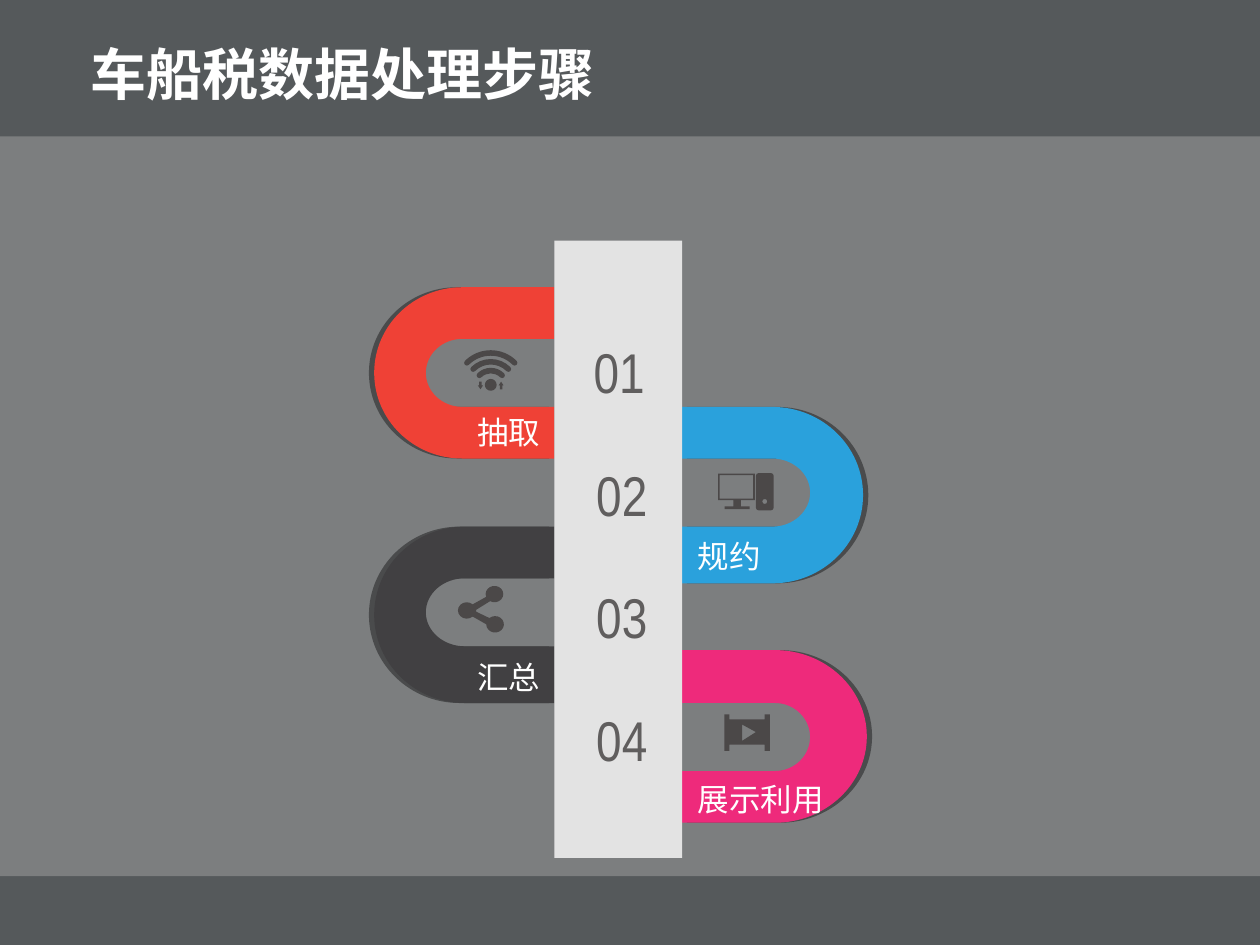
from math import ceil, cos, radians, sin, tan

from lxml import etree
from pptx import Presentation
from pptx.dml.color import RGBColor
from pptx.enum.shapes import MSO_SHAPE
from pptx.enum.text import MSO_ANCHOR, MSO_AUTO_SIZE, PP_ALIGN
from pptx.oxml import parse_xml
from pptx.oxml.ns import nsdecls, qn
from pptx.util import Inches, Pt

RECT = MSO_SHAPE.RECTANGLE
ROUNDED = MSO_SHAPE.ROUNDED_RECTANGLE
CENTER, LEFT = PP_ALIGN.CENTER, PP_ALIGN.LEFT
TOP, BOTTOM = MSO_ANCHOR.TOP, MSO_ANCHOR.BOTTOM
NO_FIT = MSO_AUTO_SIZE.NONE

COLUMNS, ROWS = 100, 75
CELL = Inches(10) / COLUMNS
BACKGROUND, PANEL, ICON = "55595B", "BFBFBF", "4B4848"
CJK_FONT = "Noto Sans CJK SC"
NUMBER_PITCH = 9.73
STEPS = [
    ("01", 45.6, "抽取", 36.9, 32.3, 7, "EF4136"),
    ("02", 45.8, "规约", 54.4, 42.1, 7, "2AA1DC"),
    ("03", 45.8, "汇总", 36.9, 51.7, 7, "414042"),
    ("04", 45.8, "展示利用", 54.4, 61.4, 12, "EE2A7B"),
]
HOOKS = [
    (44, 36.7, 29.7, 33.8, 22.8, 36.4, 26.9, 32.3),
    (54.1, 61.3, 68.5, 64.3, 32.3, 46.3, 36.4, 41.8),
    (44, 36.9, 29.7, 33.8, 41.8, 55.8, 45.9, 51.3),
    (54.1, 61.5, 68.8, 64.3, 51.6, 65.3, 55.8, 61.2),
]


def grid(cells):
    return round(cells * CELL)


def rgb(color):
    return RGBColor.from_string(color)


def paint(shape, color):
    shape.shadow.inherit = False
    shape.fill.solid()
    shape.fill.fore_color.rgb = rgb(color)
    shape.line.fill.background()
    return shape


def add_block(slide, kind, x, y, width, height, color):
    block = slide.shapes.add_shape(kind, *map(grid, (x, y, width, height)))
    return paint(block, color)


def arc(x, y, radius_x, radius_y, first, last):
    count = ceil(abs(last - first) / 90)
    step = radians(last - first) / count
    handle = 4 / 3 * tan(step / 4)

    def at(angle, lean=0):
        return (x + radius_x * (cos(angle) - lean * sin(angle)),
                y + radius_y * (sin(angle) + lean * cos(angle)))

    points = [at(radians(first))]
    for i in range(count):
        start = radians(first) + i * step
        end = start + step
        points += [at(start, handle), at(end, -handle), at(end)]
    return points


def polygon(*corners):
    return [[corner] for corner in corners]


def box(left, top, right, bottom):
    return polygon((left, top), (right, top), (right, bottom), (left, bottom))


def circle(x, y, radius):
    return [arc(x, y, radius, radius, 0, 360)]


def trace(pieces):
    points = list(pieces[0])
    for piece in pieces[1:]:
        points += [piece[0]] * 3 + piece[1:]
    return [(grid(x), grid(y)) for x, y in points]


def add_outline(slide, contours, color=ICON):
    builder = None
    for start, *rest in map(trace, contours):
        if builder is None:
            builder = slide.shapes.build_freeform(*start)
        else:
            builder.move_to(*start)
        builder.add_line_segments(rest, close=True)
    shape = paint(builder.convert_to_shape(), color)
    lines = list(shape._element.spPr.iter(qn("a:lnTo")))
    for first, second, third in zip(lines[::3], lines[1::3], lines[2::3]):
        first.tag = qn("a:cubicBezTo")
        for line in (second, third):
            first.append(line[0])
            line.getparent().remove(line)
    return shape


def add_hook(slide, bounds, color):
    edge, bend, apex, hole_apex, top, bottom, hole_top, hole_bottom = bounds
    outer = arc(bend, (top + bottom) / 2, apex - bend, (bottom - top) / 2, 90, -90)
    inner = arc(bend, (hole_top + hole_bottom) / 2, hole_apex - bend,
                (hole_bottom - hole_top) / 2, -90, 90)
    hook = add_outline(slide, [[[(edge, bottom)], outer, [(edge, top)],
                                [(edge, hole_top)], inner, [(edge, hole_bottom)]]], color)
    direction = 0 if apex > edge else 180 * 60000
    hook._element.spPr.find(qn("a:effectLst")).append(parse_xml(
        f'<a:outerShdw {nsdecls("a")} dist="{Pt(3)}" dir="{direction}" algn="ctr" '
        'rotWithShape="0"><a:srgbClr val="000000"><a:alpha val="40000"/>'
        '</a:srgbClr></a:outerShdw>'))


def write(shape, text, size, font_name, color, align=LEFT, anchor=TOP, bold=False):
    frame = shape.text_frame
    frame.auto_size = NO_FIT
    frame.word_wrap = False
    frame.vertical_anchor = anchor
    frame.text = text
    paragraph = frame.paragraphs[0]
    paragraph.alignment = align
    run = paragraph.runs[0]
    run.font.size = Pt(size)
    run.font.name = font_name
    run.font.bold = bold
    run.font.color.rgb = rgb(color)
    etree.SubElement(run._r.get_or_add_rPr(), qn("a:ea"), typeface=CJK_FONT)
    return paragraph


def add_label(slide, x, y, width, height, *text_style):
    label = slide.shapes.add_textbox(*map(grid, (x, y, width, height)))
    write(label, *text_style)


def add_title(slide, text):
    title = slide.shapes.title
    title.left, title.top, title.width, title.height = map(grid, (6.2, 2.45, 87.6, 6.6))
    paragraph = write(title, text, 32, "Times New Roman", "FFFFFF",
                      anchor=BOTTOM, bold=True)
    paragraph.line_spacing = 0.9


def add_panel(slide):
    panel = add_block(slide, ROUNDED, 0, 10.83, COLUMNS, 58.7, PANEL)
    panel.adjustments[0] = 0
    tint = panel._element.spPr.find(qn("a:solidFill"))[0]
    etree.SubElement(tint, qn("a:alpha"), val="37000")


def signal_wave(radius, x=38.95, y=30.7, half=0.22):
    middle = radius - half
    reach = middle * cos(radians(45))
    return [arc(x, y, radius, radius, -135, -45),
            arc(x + reach, y - reach, half, half, -45, 135),
            arc(x, y, middle - half, middle - half, -45, -135),
            arc(x - reach, y - reach, half, half, 45, 225)]


def small_arrow(x, tip, tail):
    neck = (tip + tail) / 2
    return polygon((x, tip), (x + 0.2, neck), (x + 0.1, neck), (x + 0.1, tail),
                   (x - 0.1, tail), (x - 0.1, neck), (x - 0.2, neck))


def add_icons(slide):
    screen = polygon((57, 37.6), (59.9, 37.6), (59.9, 39.7), (58.8, 39.7),
                     (58.8, 40.2), (59.5, 40.2), (59.5, 40.4), (57.5, 40.4),
                     (57.5, 40.2), (58.2, 40.2), (58.2, 39.7), (57, 39.7))
    add_outline(slide, [screen, box(57.12, 37.72, 59.78, 39.58)])
    tower = [arc(x, y, 0.2, 0.2, turn, turn + 90) for x, y, turn in
             [(60.2, 37.75, 180), (61.2, 37.75, 270), (61.2, 40.3, 0), (60.2, 40.3, 90)]]
    add_outline(slide, [tower, circle(60.7, 39.8, 0.2)])

    waves = [signal_wave(radius) for radius in (1.5, 2.2, 2.9)]
    add_outline(slide, [small_arrow(39.77, 30.3, 30.9), small_arrow(38.13, 30.9, 30.3),
                        circle(38.95, 30.55, 0.47), *waves])

    share = [arc(39.3, 49.55, 0.7, 0.65, 180, -130), [(37.8, 48.55)], [(37.8, 48.4)],
             arc(39.25, 47.15, 0.7, 0.65, 120, -200),
             arc(37.05, 48.45, 0.7, 0.65, -48, -312)]
    add_outline(slide, [share])

    film = polygon((57.5, 56.7), (57.9, 56.7), (57.9, 57.1), (60.7, 57.1),
                   (60.7, 56.7), (61.1, 56.7), (61.1, 59.6), (60.7, 59.6),
                   (60.7, 59.1), (57.9, 59.1), (57.9, 59.6), (57.5, 59.6))
    add_outline(slide, [film, polygon((58.9, 57.5), (60, 58.1), (58.9, 58.8))])


def main():
    prs = Presentation()
    prs.slide_width, prs.slide_height = grid(COLUMNS), grid(ROWS)
    slide = prs.slides.add_slide(prs.slide_layouts[5])
    slide.background.fill.solid()
    slide.background.fill.fore_color.rgb = rgb(BACKGROUND)

    add_panel(slide)
    add_title(slide, "车船税数据处理步骤")
    for bounds, step in zip(HOOKS, STEPS):
        add_hook(slide, bounds, step[-1])
    add_block(slide, RECT, 44, 19.1, 10.15, 49, "E3E3E3")
    add_icons(slide)
    for i, (number, number_x, label, label_x, label_y, width, _) in enumerate(STEPS):
        add_label(slide, number_x, 26.3 + i * NUMBER_PITCH, 7.1, 6.4,
                  number, 32, "Arial Narrow", "605E5E", CENTER)
        add_label(slide, label_x, label_y, width, 4, label, 18, CJK_FONT, "FFFFFF")
    prs.save("out.pptx")


if __name__ == "__main__":
    main()
